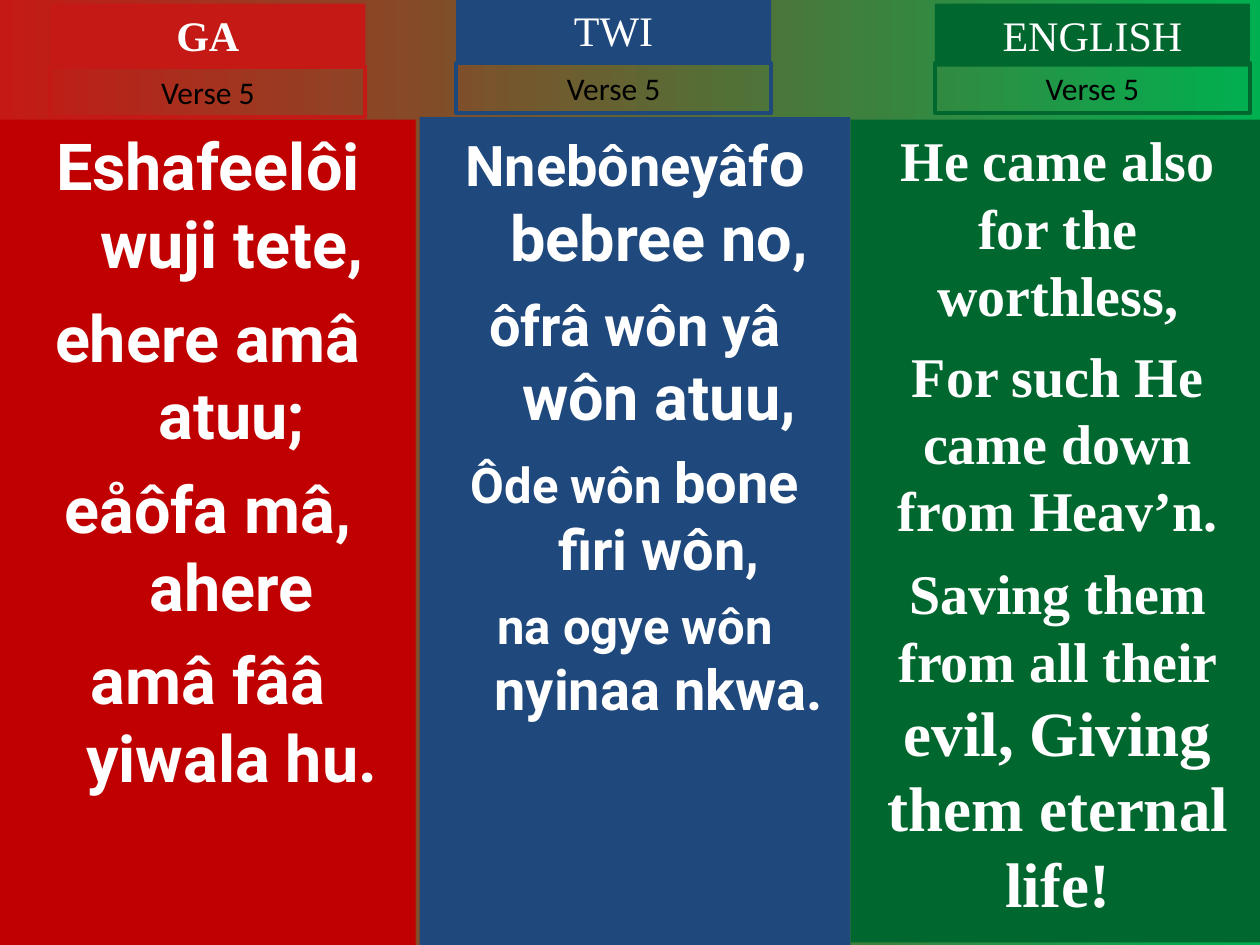
import pptx
import pptx.dml.color
import pptx.enum.shapes
import pptx.enum.text
import pptx.util

COLS, ROWS = 100, 75
SERIF = "Times New Roman"
WHITE = "FFFFFF"


def tint(code):
    return pptx.dml.color.RGBColor.from_string(code)


class Page:
    """Holds the slide and places elements on a grid of COLS by ROWS."""

    def __init__(self, deck):
        self.slide = deck.slides.add_slide(deck.slide_layouts[6])
        self.col = deck.slide_width / COLS
        self.row = deck.slide_height / ROWS

    def back(self, *codes):
        fill = self.slide.background.fill
        fill.gradient()
        fill.gradient_angle = 0
        for stop, code in zip(fill.gradient_stops, codes):
            stop.color.rgb = tint(code)

    def rect(self, x, y, w, h, fill=None, line=None):
        box = self.slide.shapes.add_shape(
            pptx.enum.shapes.MSO_SHAPE.RECTANGLE,
            round(x * self.col), round(y * self.row),
            round(w * self.col), round(h * self.row))
        box.shadow.inherit = False
        if fill:
            box.fill.solid()
            box.fill.fore_color.rgb = tint(fill)
        else:
            box.fill.background()
        if line:
            box.line.color.rgb = tint(line)
            box.line.width = pptx.util.Pt(2.25)
        else:
            box.line.fill.background()
        frame = box.text_frame
        frame.word_wrap = True
        frame.vertical_anchor = pptx.enum.text.MSO_ANCHOR.TOP
        return frame

    def para(self, frame, runs, face, color, bold=False, gap=0, hang=0):
        """Add a centred paragraph; runs are (text, size) pairs, hang is in columns."""
        first = frame.paragraphs[0]
        para = frame.add_paragraph() if first.runs else first
        para.alignment = pptx.enum.text.PP_ALIGN.CENTER
        if para is not first:
            para.space_before = pptx.util.Pt(gap)
        if hang:
            props = para._p.get_or_add_pPr()
            props.set("marL", str(round(hang * self.col)))
            props.set("indent", str(round(-hang * self.col)))
        font = para.font
        font.name, font.bold = face, bold
        font.color.rgb = tint(color)
        sizes = {size for _, size in runs}
        if len(sizes) == 1:
            font.size = pptx.util.Pt(sizes.pop())
        for text, size in runs:
            run = para.add_run()
            run.text = text
            if font.size is None:
                run.font.size = pptx.util.Pt(size)

    def label(self, place, text, size, face, color, bold=False, **style):
        frame = self.rect(*place, **style)
        frame.auto_size = pptx.enum.text.MSO_AUTO_SIZE.SHAPE_TO_FIT_TEXT
        self.para(frame, [(text, size)], face, color, bold)

    def verse(self, place, fill, face, hang, lines):
        frame = self.rect(*place, fill=fill)
        for gap, *runs in lines:
            self.para(frame, runs, face, WHITE, True, gap, hang)

    def head(self, x, top, low, title, color, bold=False):
        self.label((x, top, 25, 5), title, 24, SERIF, WHITE, bold, fill=color)
        self.label((x, low, 25, 4), "Verse 5", 18, "Calibri", "000000", line=color)


GA = [(9.2, (text, 37)) for text in (
    "Eshafeelôi wuji tete,", "ehere amâ atuu;",
    "eåôfa mâ, ahere", "amâ fââ yiwala hu.")]
TWI = [
    (9, ("Nnebôneyâf", 32), ("o bebree no,", 36)),
    (9, ("ôfrâ wôn yâ ", 32), ("wôn atuu,", 36)),
    (8, ("Ôde wôn ", 28), ("bone firi wôn,", 32)),
    (8, ("na ogye wôn ", 28), ("nyinaa nkwa.", 32)),
]
ENGLISH = [
    (8, ("He came also for the worthless,", 32)),
    (8, ("For such He came down from Heav’n.", 32)),
    (9, ("Saving them from all their ", 32), ("evil, Giving them eternal life!", 36)),
]


def main():
    deck = pptx.Presentation()
    deck.slide_width = pptx.util.Inches(10)
    deck.slide_height = pptx.util.Inches(7.5)
    page = Page(deck)
    page.back("C51915", "00B050")
    page.verse((0, 9.5, 33, 65.5), "C00000", "Roboto", 3.8, GA)
    page.verse((33.3, 9.3, 34.2, 65.7), "1F497D", "Roboto", 3.8, TWI)
    page.verse((67.5, 9.5, 32.9, 65.3), "00682F", SERIF, 0, ENGLISH)
    page.head(4, 0.3, 5.3, "GA", "C51915", bold=True)
    page.head(36.2, -0.1, 5, "TWI", "1F497D")
    page.head(74.2, 0.3, 5, "ENGLISH", "00682F")
    deck.save("out.pptx")


if __name__ == "__main__":
    main()
